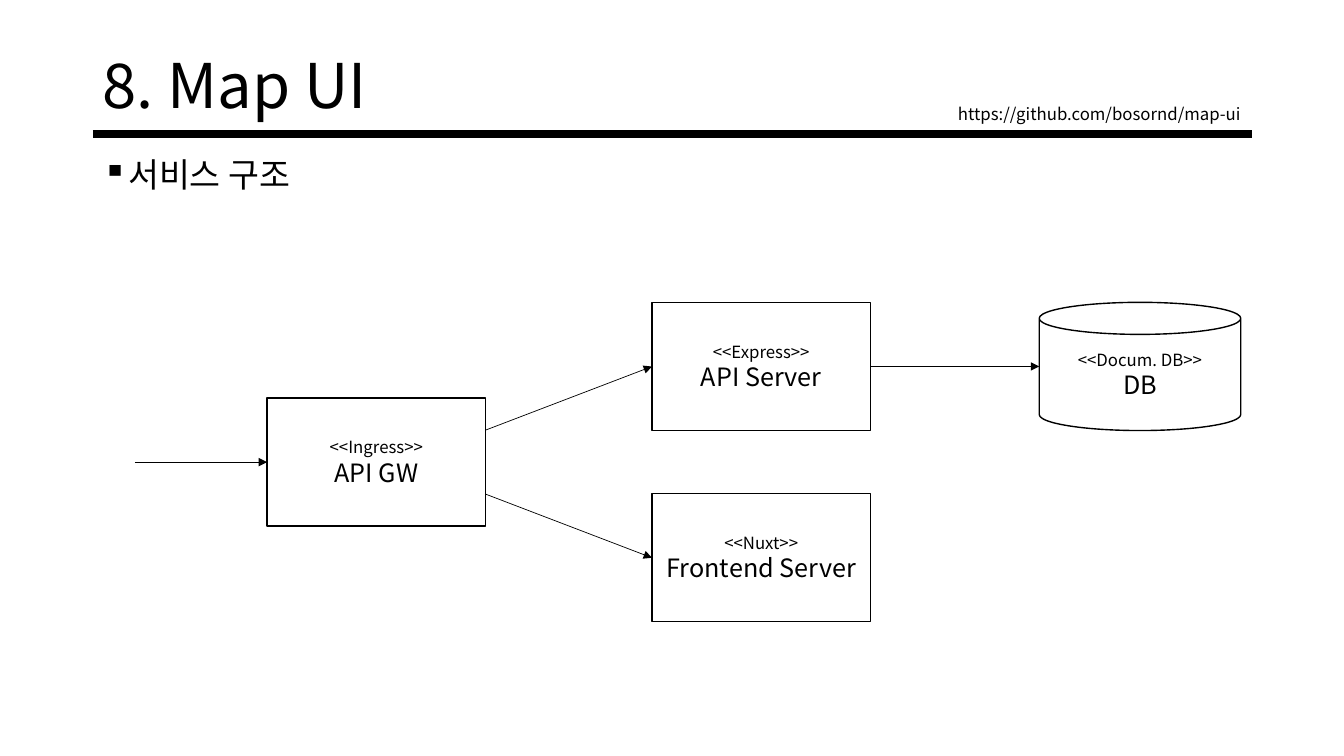
from dataclasses import dataclass

from lxml import etree
from pptx import Presentation, util as u
from pptx.dml.color import RGBColor
from pptx.enum import shapes, text
from pptx.oxml.ns import qn


@dataclass(frozen=True)
class Theme:
    font: str = "Noto Sans CJK KR"
    ink: RGBColor = RGBColor(0, 0, 0)
    paper: RGBColor = RGBColor(255, 255, 255)
    title: int = 44
    body: int = 24
    name: int = 18
    small: int = 12
    rule: float = 6
    border: float = 1
    arrow: float = 0.5


class Deck:
    """Holds the theme and the current slide."""

    def __init__(self, theme):
        self.t = theme
        self.prs = Presentation()
        self.prs.slide_width, self.prs.slide_height = u.Cm(33.87), u.Cm(19.05)
        self.s = self.prs.slides.add_slide(self.prs.slide_layouts[6])

    def fill_text(self, tf, lines, anchor, align, spacing=1.0, bullet=None):
        """Write lines given as (string, size) pairs, one paragraph each."""
        frame = {"word_wrap": True, "vertical_anchor": anchor}
        for key, value in frame.items():
            setattr(tf, key, value)
        for i, (string, size) in enumerate(lines):
            p = tf.paragraphs[0] if i == 0 else tf.add_paragraph()
            p.alignment, p.line_spacing = align, spacing
            if bullet:
                pPr = p._p.get_or_add_pPr()
                pPr.set("marL", str(u.Cm(0.64)))
                pPr.set("indent", str(-u.Cm(0.64)))
                etree.SubElement(pPr, qn("a:buChar"), char=bullet)
            r = p.add_run()
            r.text = string
            for key, value in {"name": self.t.font, "size": u.Pt(size)}.items():
                setattr(r.font, key, value)
            r.font.color.rgb = self.t.ink
            etree.SubElement(r._r.get_or_add_rPr(), qn("a:ea"), typeface=self.t.font)

    def text(self, box, string, size, anchor=text.MSO_ANCHOR.TOP,
             align=text.PP_ALIGN.LEFT, **style):
        sp = self.s.shapes.add_textbox(*map(u.Cm, box))
        self.fill_text(sp.text_frame, [(string, size)], anchor, align, **style)

    def node(self, box, stereotype, name, kind=shapes.MSO_SHAPE.RECTANGLE):
        sp = self.s.shapes.add_shape(kind, *map(u.Cm, box))
        sp.shadow.inherit = False
        sp.fill.solid()
        sp.fill.fore_color.rgb = self.t.paper
        sp.line.color.rgb = self.t.ink
        sp.line.width = u.Pt(self.t.border)
        lines = [(f"<<{stereotype}>>", self.t.small), (name, self.t.name)]
        self.fill_text(sp.text_frame, lines, text.MSO_ANCHOR.MIDDLE,
                       text.PP_ALIGN.CENTER)

    def line(self, start, end, width, arrow=False):
        cx = self.s.shapes.add_connector(
            shapes.MSO_CONNECTOR.STRAIGHT, *map(u.Cm, (*start, *end)))
        cx.line.color.rgb = self.t.ink
        cx.line.width = u.Pt(width)
        if arrow:
            etree.SubElement(cx.line._get_or_add_ln(), qn("a:tailEnd"), type="triangle")
        etree.SubElement(cx._element.spPr, qn("a:effectLst"))


def main():
    theme = Theme()
    deck = Deck(theme)

    # Header
    left, width = 2.34, 29.21
    deck.line((left, 3.38), (left + width, 3.38), theme.rule)
    deck.text((left, 1.02, width, 2.44), "8. Map UI", theme.title,
              text.MSO_ANCHOR.MIDDLE, spacing=0.9)
    deck.text((left, 3.76, width, 3.23), "서비스 구조", theme.body, bullet="▪")
    deck.text((14.81, 2.49, 16.71, 0.76), "https://github.com/bosornd/map-ui",
              theme.small, text.MSO_ANCHOR.BOTTOM, text.PP_ALIGN.RIGHT)

    # Services
    w, h = 5.51, 3.23
    gateway_x, server_x, db_x = 6.73, 16.43, 26.19
    api_y, frontend_y = 7.62, 12.44
    gateway_y = (api_y + frontend_y) / 2
    deck.node((server_x, api_y, w, h), "Express", "API Server")
    deck.node((server_x, frontend_y, w, h), "Nuxt", "Frontend Server")
    deck.node((db_x, api_y, 5.08, h), "Docum. DB", "DB", shapes.MSO_SHAPE.CAN)
    deck.node((gateway_x, gateway_y, w, h), "Ingress", "API GW")

    # Request flow
    mid = h / 2
    gateway_right = gateway_x + w
    arrows = [
        ((3.4, gateway_y + mid), (gateway_x, gateway_y + mid)),
        ((gateway_right, gateway_y + h / 4), (server_x, api_y + mid)),
        ((gateway_right, gateway_y + h * 3 / 4), (server_x, frontend_y + mid)),
        ((server_x + w, api_y + mid), (db_x, api_y + mid)),
    ]
    for start, end in arrows:
        deck.line(start, end, theme.arrow, arrow=True)

    deck.prs.save("out.pptx")


if __name__ == "__main__":
    main()
